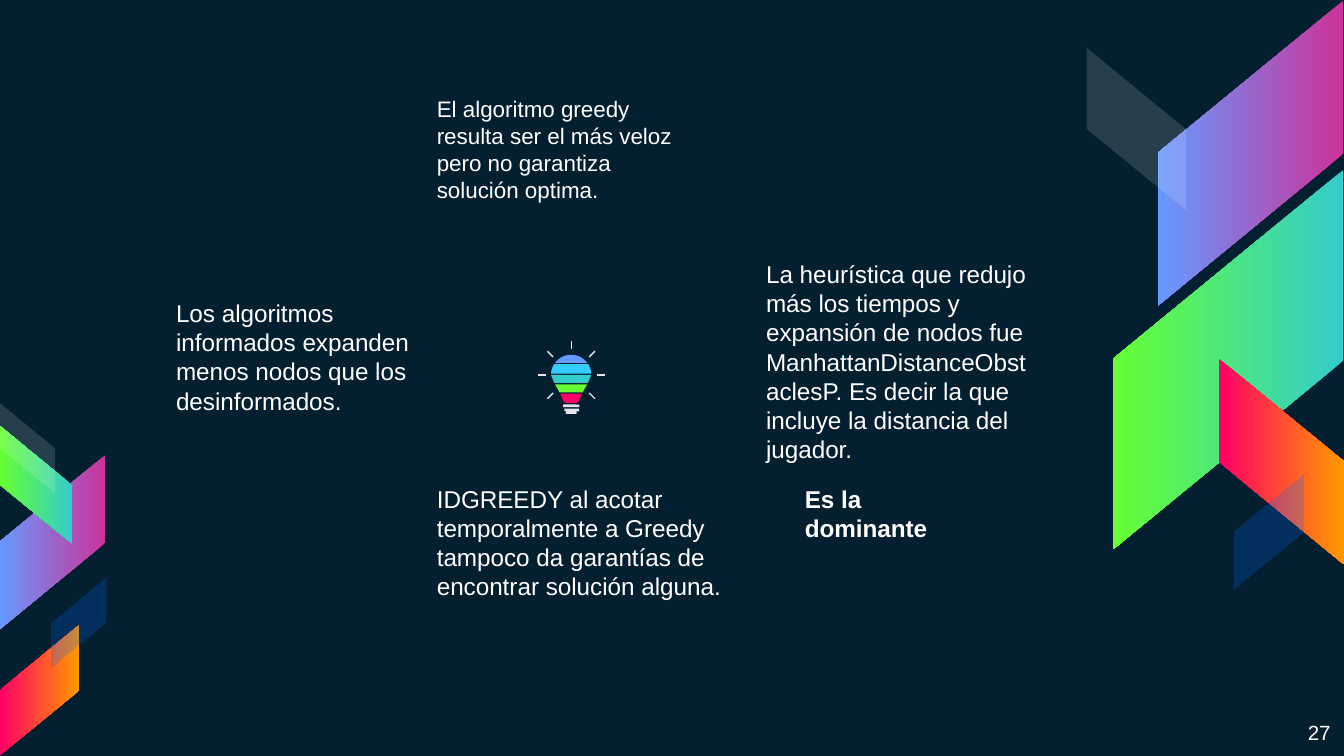
"""Build a dark slide of four findings around a light bulb, framed by slanted ribbons."""
from itertools import pairwise
from math import cos, radians, sin, sqrt
from typing import NamedTuple

from lxml import etree
from pptx import Presentation
from pptx.dml.color import RGBColor
from pptx.enum import shapes, text
from pptx.oxml.ns import qn
from pptx.util import Inches, Pt

NIGHT = RGBColor(0x04, 0x1F, 0x30)
WHITE = RGBColor(0xFF, 0xFF, 0xFF)
PALE = RGBColor(0xE3, 0xE7, 0xEC)
PINK = RGBColor(0xCC, 0x33, 0x99)
BLUE = RGBColor(0x66, 0x99, 0xFF)
SKY = RGBColor(0x33, 0xCC, 0xFF)
TEAL = RGBColor(0x33, 0xCC, 0xCC)
LIME = RGBColor(0x66, 0xFF, 0x33)
RED = RGBColor(0xFF, 0x00, 0x66)
AMBER = RGBColor(0xFF, 0x99, 0x00)
NAVY = RGBColor(0x00, 0x66, 0xFF)


class Box(NamedTuple):
    left: float
    top: float
    width: float
    height: float


class Ribbon(NamedTuple):
    box: Box
    turn: int
    flip: bool
    hues: tuple[RGBColor, ...]
    alpha: int = 100


class Note(NamedTuple):
    box: Box
    words: str
    size: int = 13


class Band(NamedTuple):
    top: float
    base: float
    hue: RGBColor


RIBBONS = [
    Ribbon(Box(8.17, 0.45, 2.27, 1.38), 90, True, (PINK, BLUE)),
    Ribbon(Box(7.73, 1.82, 2.82, 1.71), 90, True, (TEAL, LIME)),
    Ribbon(Box(8.77, 2.97, 1.53, 0.93), 270, False, (RED, AMBER)),
    Ribbon(Box(7.85, 0.59, 1.21, 0.74), 270, False, (WHITE,), 14),
    Ribbon(Box(9.01, 3.7, 0.86, 0.52), 270, True, (NAVY,), 23),
    Ribbon(Box(-0.26, 3.64, 1.3, 0.79), 90, True, (PINK, BLUE)),
    Ribbon(Box(-0.17, 3.34, 0.88, 0.54), 90, False, (TEAL, LIME)),
    Ribbon(Box(-0.19, 4.84, 0.97, 0.59), 270, True, (RED, AMBER)),
    Ribbon(Box(-0.13, 3.13, 0.67, 0.41), 270, False, (WHITE,), 14),
    Ribbon(Box(0.25, 4.43, 0.67, 0.41), 270, True, (NAVY,), 23),
]
NOTES = [
    Note(Box(5.6, 1.83, 2.14, 1.43), "La heurística que redujo más los tiempos y expansión de nodos fue "
         "ManhattanDistanceObstaclesP. Es decir la que incluye la distancia del jugador."),
    Note(Box(3.15, 0.61, 2.14, 0.93),
         "El algoritmo greedy resulta ser el más veloz pero no garantiza solución optima.", 12),
    Note(Box(1.21, 2.12, 1.94, 1.05),
         "Los algoritmos informados expanden menos nodos que los desinformados."),
    Note(Box(3.15, 3.5, 2.49, 1.05), "IDGREEDY al acotar temporalmente a Greedy tampoco da garantías "
         "de encontrar solución alguna."),
]
VERDICT = Note(Box(5.89, 3.5, 1.57, 0.54), "Es la dominante")
NUMBER = Note(Box(9.36, 5.26, 0.64, 0.36), "27", 11)

MID_X, MID_Y, RADIUS = 4.25, 2.79, 0.15
BANDS = [
    Band(2.64, 2.7, BLUE),
    Band(2.71, 2.78, SKY),
    Band(2.79, 2.85, TEAL),
    Band(2.86, 2.92, LIME),
    Band(2.93, 3, RED),
]
NECK = [(2.79, 0.15), (2.86, 0.12), (2.93, 0.08), (2.98, 0.06), (3, 0.04)]
CAPS = [Box(4.19, 3.01, 0.12, 0.02), Box(4.2, 3.04, 0.11, 0.02), Box(4.21, 3.06, 0.08, 0.02)]


def add_shape(slide, kind, box: Box):
    """Add a preset shape without line or shadow."""
    shape = slide.shapes.add_shape(kind, *map(Inches, box))
    shape.shadow.inherit = False
    shape.line.fill.background()
    return shape


def paint(shape, hue: RGBColor) -> None:
    """Fill a shape with one colour."""
    shape.fill.solid()
    shape.fill.fore_color.rgb = hue


def draw_ribbon(slide, ribbon: Ribbon) -> None:
    """Draw a slanted ribbon, shaded or translucent."""
    shape = add_shape(slide, shapes.MSO_SHAPE.PARALLELOGRAM, ribbon.box)
    shape.adjustments[0] = 0.82
    shape.rotation = ribbon.turn
    if ribbon.flip:
        shape._element.spPr.xfrm.set("flipH", "1")
    if len(ribbon.hues) > 1:
        shape.fill.gradient()
        shape.fill.gradient_angle = 270
        for stop, hue in zip(shape.fill.gradient_stops, ribbon.hues):
            stop.color.rgb = hue
    else:
        paint(shape, ribbon.hues[0])
        tint = shape._element.spPr.find(".//" + qn("a:srgbClr"))
        etree.SubElement(tint, qn("a:alpha"), val=str(ribbon.alpha * 1000))


def write(shape, note: Note, bold: bool = False):
    """Place a text shape, fill in its words and return the paragraph."""
    shape.left, shape.top, shape.width, shape.height = map(Inches, note.box)
    frame = shape.text_frame
    frame.text = note.words
    frame.word_wrap = True
    frame.auto_size = text.MSO_AUTO_SIZE.NONE
    frame.vertical_anchor = text.MSO_ANCHOR.TOP
    for side in ("left", "top", "right", "bottom"):
        setattr(frame, f"margin_{side}", Inches(0.1))
    para = frame.paragraphs[0]
    para.font.name, para.font.size, para.font.bold = "Arial", Pt(note.size), bold
    para.font.color.rgb = WHITE
    return para


def style_body(para) -> None:
    """Give a paragraph its spacing, without bullet or indent."""
    para.space_before = Pt(6)
    props = para._p.get_or_add_pPr()
    props.set("marL", "0")
    props.set("indent", "0")
    etree.SubElement(props, qn("a:buNone"))
    props.append(props.find(qn("a:defRPr")))


def half(y: float) -> float:
    """Return half the width of the bulb at a height."""
    if y <= MID_Y:
        return sqrt(max(0, RADIUS ** 2 - (MID_Y - y) ** 2))
    for (top, wide), (base, slim) in pairwise(NECK):
        if y <= base:
            return wide + (slim - wide) * (y - top) / (base - top)
    return NECK[-1][1]


def draw_band(slide, band: Band, steps: int = 14) -> None:
    """Draw one coloured slice of the bulb."""
    rows = [band.top + (band.base - band.top) * i / steps for i in range(steps + 1)]
    edge = [(MID_X + half(y), y) for y in rows]
    edge += [(MID_X - half(y), y) for y in reversed(rows)]
    start, *rest = [(Inches(x), Inches(y)) for x, y in edge]
    pen = slide.shapes.build_freeform(*start)
    pen.add_line_segments(rest)
    shape = pen.convert_to_shape()
    shape.shadow.inherit = False
    shape.line.fill.background()
    paint(shape, band.hue)


def draw_ray(slide, angle: int) -> None:
    """Draw one ray of light around the bulb."""
    turn = radians(angle)
    ends = [Inches(v) for r in (0.19, 0.25)
            for v in (MID_X + r * cos(turn), MID_Y - r * sin(turn))]
    ray = slide.shapes.add_connector(shapes.MSO_CONNECTOR.STRAIGHT, *ends)
    ray.line.color.rgb = PALE
    ray.line.width = Pt(0.75)
    etree.SubElement(ray._element.spPr, qn("a:effectLst"))


def main() -> None:
    """Assemble and save the slide."""
    deck = Presentation()
    deck.slide_width, deck.slide_height = Inches(10), Inches(10) * 9 // 16
    slide = deck.slides.add_slide(deck.slide_layouts.get_by_name("Comparison"))
    paint(slide.background, NIGHT)
    title, *bodies = slide.placeholders
    title._element.getparent().remove(title._element)
    for ribbon in RIBBONS:
        draw_ribbon(slide, ribbon)
    for body, note in zip(bodies, NOTES):
        style_body(write(body, note))
    for band in BANDS:
        draw_band(slide, band)
    for angle in range(-45, 226, 45):
        draw_ray(slide, angle)
    for cap in CAPS:
        paint(add_shape(slide, shapes.MSO_SHAPE.ROUNDED_RECTANGLE, cap), PALE)
    style_body(write(slide.shapes.add_textbox(*map(Inches, VERDICT.box)), VERDICT, True))
    page = write(slide.shapes.add_textbox(*map(Inches, NUMBER.box)), NUMBER)
    page.alignment = text.PP_ALIGN.RIGHT
    deck.save("out.pptx")


if __name__ == "__main__":
    main()
